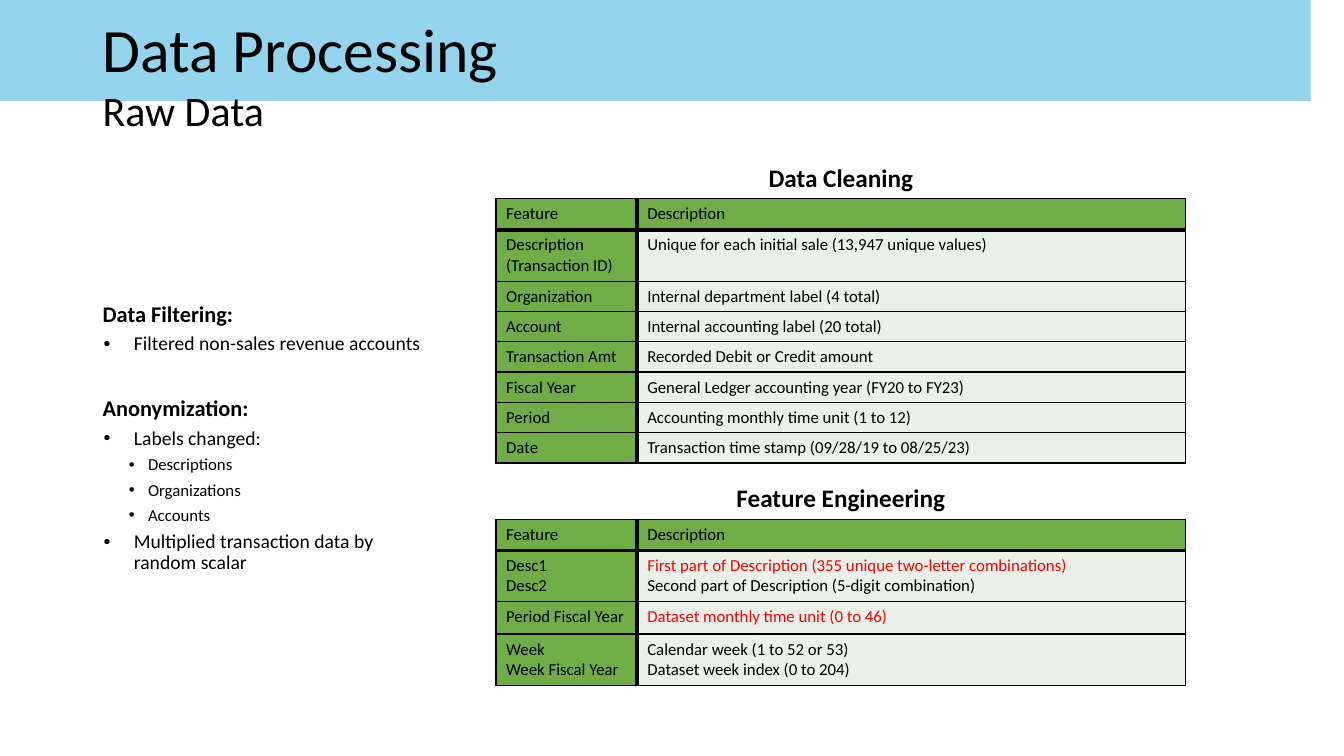
import dataclasses

import lxml.etree
import pptx
import pptx.dml.color
import pptx.enum.text
import pptx.oxml.ns
import pptx.util

Inches = pptx.util.Inches
Pt = pptx.util.Pt
RGBColor = pptx.dml.color.RGBColor
Anchor = pptx.enum.text.MSO_ANCHOR
Align = pptx.enum.text.PP_ALIGN
qn = pptx.oxml.ns.qn


@dataclasses.dataclass(frozen=True)
class Theme:
    font: str = "Calibri"
    ink: str = "000000"
    paper: str = "FFFFFF"
    banner: str = "67C3E6"
    banner_opacity: int = 70
    header: str = "70AD47"
    body: str = "EBF1E9"
    highlight: str = "FF0000"
    title: int = 44
    subtitle: int = 30
    caption: int = 18
    heading: int = 16
    bullet: int = 14
    small: int = 12
    thin: int = 1
    thick: int = 3


@dataclasses.dataclass(frozen=True)
class Level:
    size: int
    before: int
    bold: bool = False
    left: float = 0
    hanging: float = 0


def curve_points(start, first, second, end, steps=40):
    for step in range(1, steps + 1):
        t = step / steps
        weights = ((1 - t) ** 3, 3 * t * (1 - t) ** 2, 3 * t ** 2 * (1 - t), t ** 3)
        yield tuple(
            sum(weight * value for weight, value in zip(weights, axis))
            for axis in zip(start, first, second, end)
        )


class Page:
    def __init__(self, deck, theme):
        self.theme = theme
        self.slide = deck.slides.add_slide(deck.slide_layouts[6])

    def style(self, para, size, bold=False, color=None):
        para.font.name = self.theme.font
        para.font.size = Pt(size)
        para.font.bold = bold
        para.font.color.rgb = RGBColor.from_string(color or self.theme.ink)

    def banner(self, width):
        bend, low, tail = (13.31, 0.94), (3.52, 1.45), (0.02, 1.4)
        points = [(width, 0), (width, 0.94), bend]
        points += curve_points(bend, (11.19, 1.25), (7.6, 1.45), low)
        points += curve_points(low, (2.3, 1.45), (1.13, 1.43), tail)
        points.append((0, 1.4))
        builder = self.slide.shapes.build_freeform(0, 0, scale=Inches(1))
        builder.add_line_segments(points, close=True)
        shape = builder.convert_to_shape()
        shape.shadow.inherit = False
        shape.line.fill.background()
        shape.fill.solid()
        shape.fill.fore_color.rgb = RGBColor.from_string(self.theme.banner)
        color = shape.fill._xPr.find(".//" + qn("a:srgbClr"))
        alpha = lxml.etree.SubElement(color, qn("a:alpha"))
        alpha.set("val", str(self.theme.banner_opacity * 1000))

    def text(self, left, top, width, height, items, anchor=Anchor.TOP):
        box = self.slide.shapes.add_textbox(
            Inches(left), Inches(top), Inches(width), Inches(height)
        )
        frame = box.text_frame
        frame.word_wrap = True
        frame.vertical_anchor = anchor
        for index, (words, level) in enumerate(items):
            para = frame.add_paragraph() if index else frame.paragraphs[0]
            para.text = words
            para.line_spacing = 0.9
            para.space_before = Pt(level.before)
            self.style(para, level.size, level.bold)
            if level.left:
                self.bullet(para, level)

    def bullet(self, para, level):
        properties = para._p.get_or_add_pPr()
        properties.set("marL", str(Inches(level.left)))
        properties.set("indent", str(-Inches(level.hanging)))
        font = lxml.etree.SubElement(properties, qn("a:buFont"))
        font.set("typeface", "Arial")
        mark = lxml.etree.SubElement(properties, qn("a:buChar"))
        mark.set("char", "•")
        properties.remove(default := properties.find(qn("a:defRPr")))
        properties.append(default)

    def borders(self, cell, **sides):
        properties = cell._tc.get_or_add_tcPr()
        for side in "LRTB":
            color, width = sides[side]
            line = lxml.etree.SubElement(properties, qn("a:ln" + side))
            line.set("w", str(Pt(width)))
            fill = lxml.etree.SubElement(line, qn("a:solidFill"))
            lxml.etree.SubElement(fill, qn("a:srgbClr")).set("val", color)

    def table(self, top, caption, heights, rows, highlights=()):
        theme = self.theme
        widths = (1.4, 5.44)
        table = self.slide.shapes.add_table(
            len(heights), len(widths), Inches(4.92), Inches(top),
            Inches(sum(widths)), Inches(sum(heights)),
        ).table
        table.first_row = table.horz_banding = False
        for column, width in zip(table.columns, widths):
            column.width = Inches(width)
        for row, height in zip(table.rows, heights):
            row.height = Inches(height)

        thin, thick = (theme.ink, theme.thin), (theme.ink, theme.thick)
        clear = (theme.paper, theme.thin)
        for cell in table.rows[0].cells:
            self.borders(cell, L=clear, R=clear, T=clear, B=thin)
            cell.fill.background()
        title = table.cell(0, 0)
        title.merge(table.cell(0, 1))
        title.text = caption
        para = title.text_frame.paragraphs[0]
        para.alignment = Align.CENTER
        self.style(para, theme.caption, bold=True)

        for y, row in enumerate([("Feature", "Description"), *rows], start=1):
            for x, words in enumerate(row):
                cell = table.cell(y, x)
                self.borders(
                    cell,
                    L=thick if x else thin,
                    R=thin if x else thick,
                    T=thick if y == 2 else thin,
                    B=thick if y == 1 else thin,
                )
                cell.fill.solid()
                fill = theme.body if x and y > 1 else theme.header
                cell.fill.fore_color.rgb = RGBColor.from_string(fill)
                cell.text = words
                for para in cell.text_frame.paragraphs:
                    marked = para.text in highlights
                    self.style(para, theme.small, color=theme.highlight if marked else None)


def main():
    deck = pptx.Presentation()
    deck.slide_width, deck.slide_height = Inches(13.33), Inches(7.5)
    theme = Theme()
    page = Page(deck, theme)
    page.banner(13.33)
    page.text(0.92, 0.18, 11.5, 0.68, [("Data Processing", Level(theme.title, 0))], Anchor.MIDDLE)
    page.text(0.92, 0.85, 11.5, 0.51, [("Raw Data", Level(theme.subtitle, 10))])

    heading = Level(theme.heading, 10, bold=True)
    later_heading = dataclasses.replace(heading, before=30)
    bullet = Level(theme.bullet, 5, left=0.31, hanging=0.3)
    detail = Level(theme.small, 5, left=0.45, hanging=0.19)
    page.text(0.92, 1.57, 3.5, 5.56, [
        ("Data Filtering:", heading),
        ("Filtered non-sales revenue accounts", bullet),
        ("Anonymization:", later_heading),
        ("Labels changed:", bullet),
        ("Descriptions", detail),
        ("Organizations", detail),
        ("Accounts", detail),
        ("Multiplied transaction data by random scalar", bullet),
    ], Anchor.MIDDLE)

    page.table(1.57, "Data Cleaning", [0.4, 0.31, 0.51] + [0.3] * 6, [
        ("Description\n(Transaction ID)", "Unique for each initial sale (13,947 unique values)"),
        ("Organization", "Internal department label (4 total)"),
        ("Account", "Internal accounting label (20 total)"),
        ("Transaction Amt", "Recorded Debit or Credit amount"),
        ("Fiscal Year", "General Ledger accounting year (FY20 to FY23)"),
        ("Period", "Accounting monthly time unit (1 to 12)"),
        ("Date", "Transaction time stamp (09/28/19 to 08/25/23)"),
    ])
    combinations = "First part of Description (355 unique two-letter combinations)"
    months = "Dataset monthly time unit (0 to 46)"
    page.table(4.75, "Feature Engineering", [0.4, 0.31, 0.51, 0.32, 0.51], [
        ("Desc1\nDesc2", combinations + "\nSecond part of Description (5-digit combination)"),
        ("Period Fiscal Year", months),
        ("Week\nWeek Fiscal Year", "Calendar week (1 to 52 or 53)\nDataset week index (0 to 204)"),
    ], highlights={combinations, months})
    deck.save("out.pptx")


if __name__ == "__main__":
    main()
